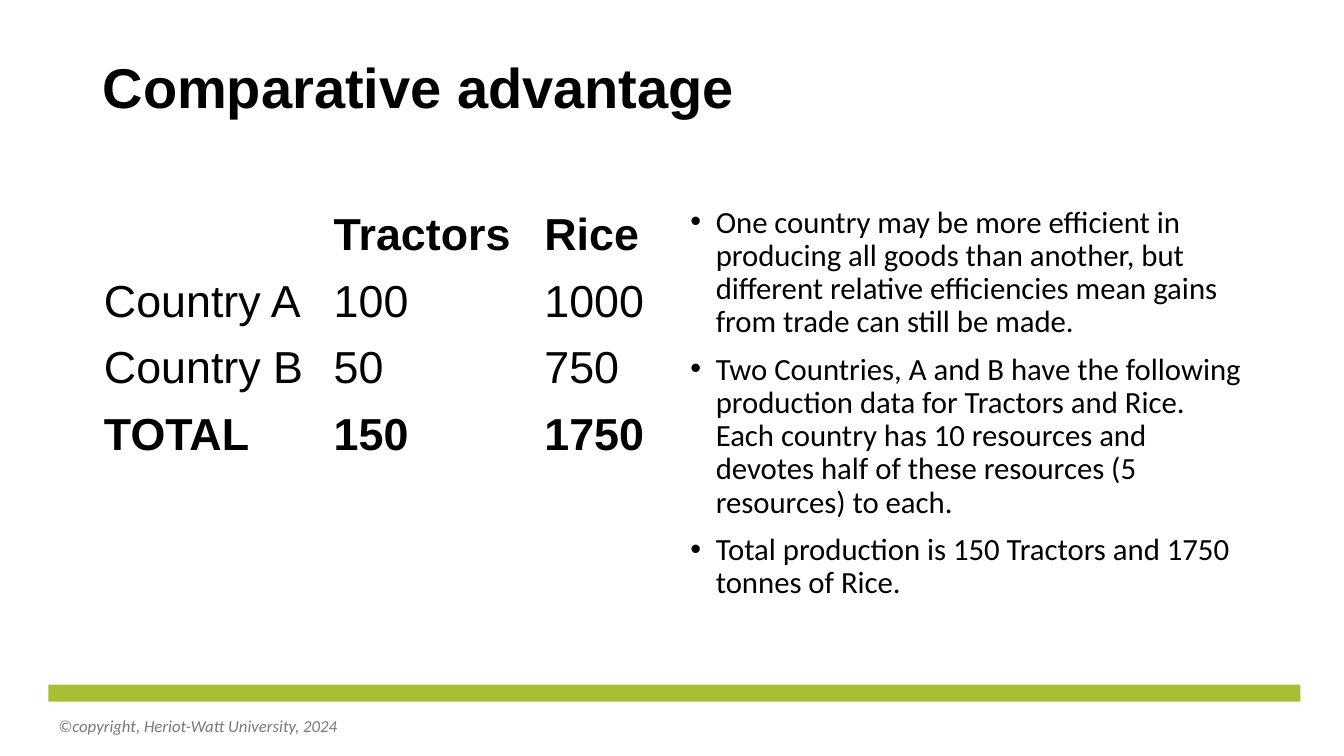
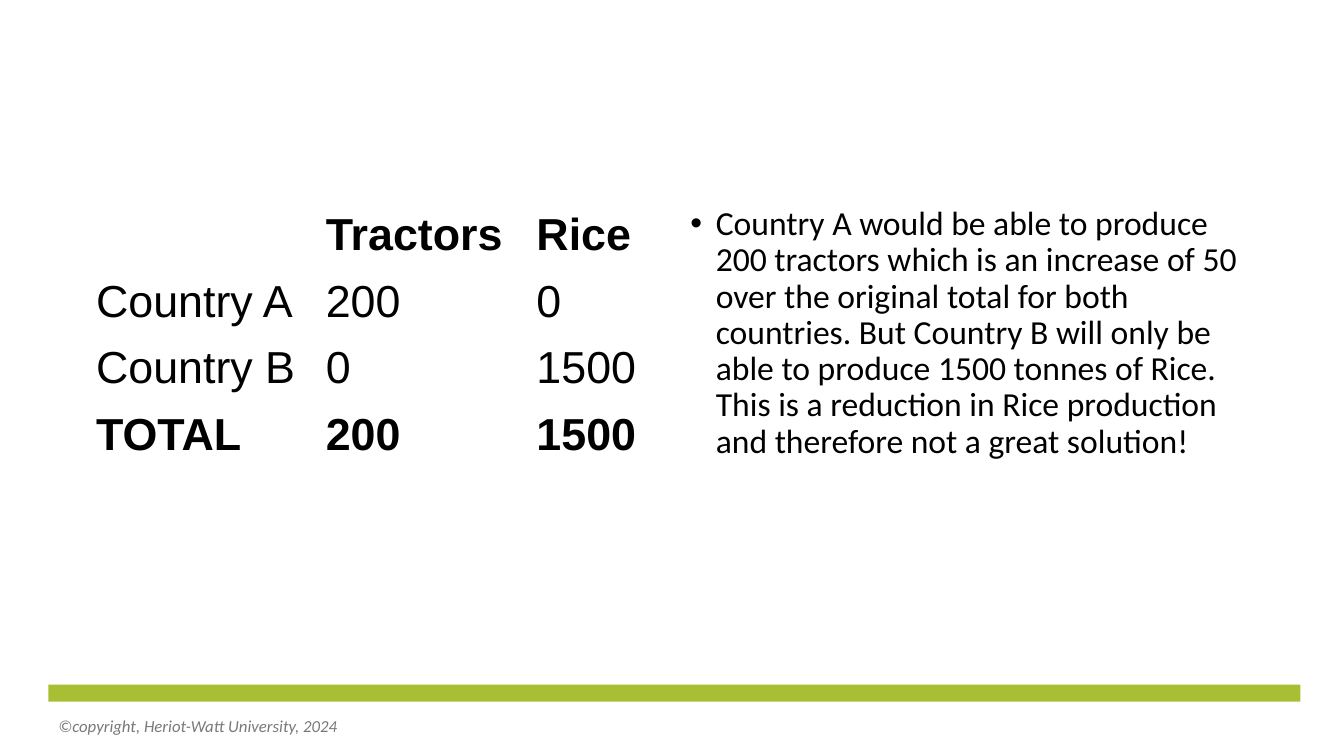
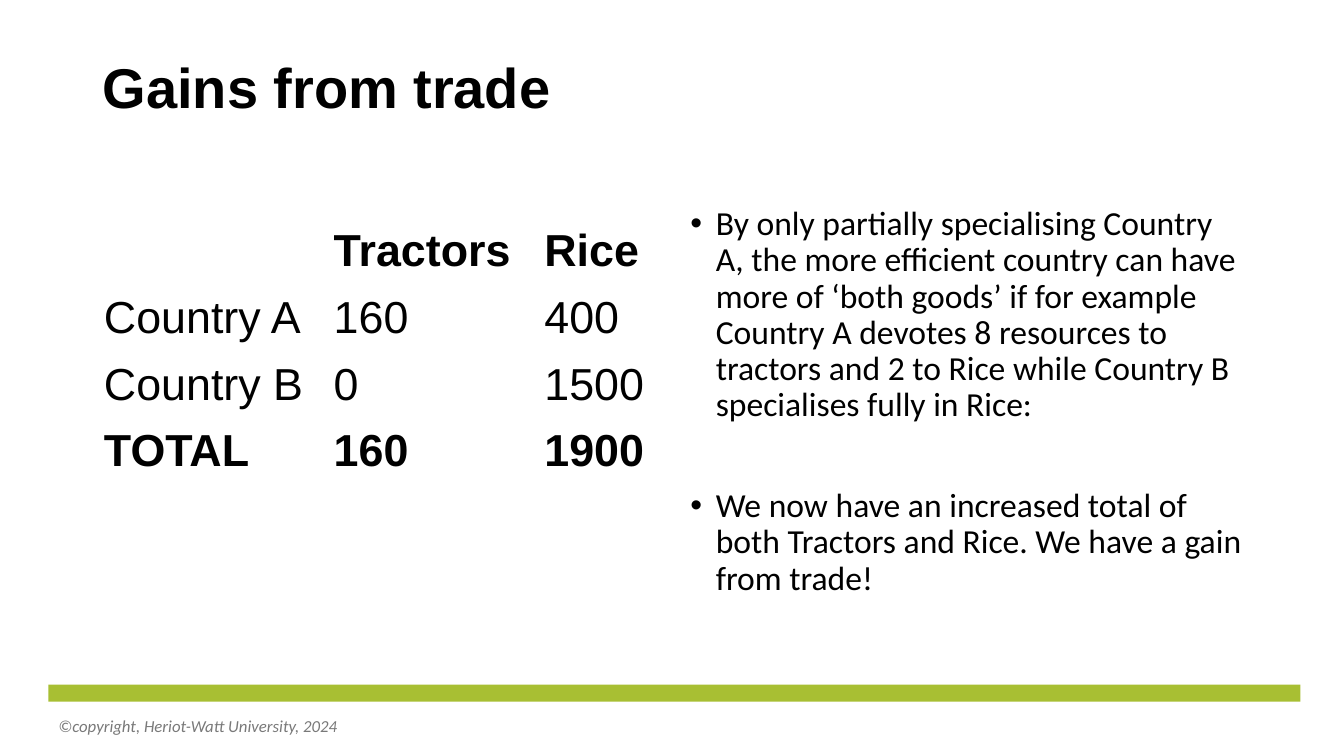
from lxml.etree import SubElement
from pptx import Presentation
from pptx.dml.color import RGBColor
from pptx.enum.shapes import MSO_SHAPE
from pptx.enum.text import MSO_ANCHOR
from pptx.oxml.ns import qn
from pptx.util import Cm, Pt

BLACK = RGBColor(0x00, 0x00, 0x00)
GREEN = RGBColor(0xA8, 0xBF, 0x33)
GREY = RGBColor(0x79, 0x79, 0x79)
HEADING_FONT = "Arial"
BODY_FONT = "Calibri"
FOOTER = "©copyright, Heriot-Watt University, 2024"

# Boxes: left, top, width, height
BAND_BOX = (Cm(1.22), Cm(17.25), Cm(31.55), Cm(0.43))
FOOTER_BOX = (Cm(1.22), Cm(17.78), Cm(11.43), Cm(1.02))
TITLE_BOX = (Cm(2.34), Cm(1.02), Cm(29.21), Cm(2.51))
BODY_BOX = (Cm(17.15), Cm(5.08), Cm(14.4), Cm(12.09))

COLUMN_WIDTHS = (Cm(5.79), Cm(5.31), Cm(3.3))
ROW_HEIGHT = Cm(1.68)
CELL_MARGIN = Cm(0.08)
BULLET_INDENT = Cm(0.64)


def format_runs(paragraph, font_name, size, color=BLACK, bold=False, italic=False):
    for run in paragraph.runs:
        font = run.font
        font.name, font.size = font_name, Pt(size)
        font.bold, font.italic = bold, italic
        font.color.rgb = color


def add_text_frame(slide, box, anchor=MSO_ANCHOR.TOP):
    text_frame = slide.shapes.add_textbox(*box).text_frame
    text_frame.word_wrap = True
    text_frame.vertical_anchor = anchor
    return text_frame


def add_footer(slide):
    # Green band
    band = slide.shapes.add_shape(MSO_SHAPE.RECTANGLE, *BAND_BOX)
    band.shadow.inherit = False
    band.fill.solid()
    band.fill.fore_color.rgb = GREEN
    band.line.fill.background()
    # Copyright line
    text_frame = add_text_frame(slide, FOOTER_BOX, MSO_ANCHOR.MIDDLE)
    text_frame.text = FOOTER
    format_runs(text_frame.paragraphs[0], BODY_FONT, 12, GREY, italic=True)


def add_title(slide, title):
    text_frame = add_text_frame(slide, TITLE_BOX, MSO_ANCHOR.MIDDLE)
    text_frame.text = title
    paragraph = text_frame.paragraphs[0]
    paragraph.line_spacing = 0.9
    format_runs(paragraph, HEADING_FONT, 40, bold=True)


def add_bullets(slide, box, bullets, size, gap):
    text_frame = add_text_frame(slide, box)
    text_frame.text = "\n".join(bullets)
    for index, paragraph in enumerate(text_frame.paragraphs):
        properties = paragraph._p.get_or_add_pPr()
        properties.set("marL", str(BULLET_INDENT))
        properties.set("indent", str(-BULLET_INDENT))
        SubElement(properties, qn("a:buFont")).set("typeface", "Arial")
        SubElement(properties, qn("a:buChar")).set("char", "•")
        paragraph.line_spacing = 0.9
        paragraph.space_before = Pt(gap if index else 0)
        format_runs(paragraph, BODY_FONT, size)


def add_output_table(slide, left, top, rows):
    table = slide.shapes.add_table(
        len(rows), len(COLUMN_WIDTHS), left, top,
        sum(COLUMN_WIDTHS), ROW_HEIGHT * len(rows)).table
    table.first_row = table.horz_banding = False
    for column, width in zip(table.columns, COLUMN_WIDTHS):
        column.width = width
    for row_index, values in enumerate(rows):
        table.rows[row_index].height = ROW_HEIGHT
        is_bold = row_index in (0, len(rows) - 1)
        for column_index, value in enumerate(values):
            cell = table.cell(row_index, column_index)
            cell.fill.background()
            cell.margin_left = cell.margin_right = CELL_MARGIN
            cell.margin_top = cell.margin_bottom = CELL_MARGIN
            cell.vertical_anchor = MSO_ANCHOR.MIDDLE
            cell.text_frame.text = value
            format_runs(cell.text_frame.paragraphs[0], HEADING_FONT, 32, bold=is_bold)


def add_trade_slide(presentation, country_a, country_b, total, bullets, title=None,
                    table_left=Cm(2.54), table_top=Cm(5.08), size=24, gap=10):
    slide = presentation.slides.add_slide(presentation.slide_layouts[6])
    add_footer(slide)
    if title:
        add_title(slide, title)
    add_bullets(slide, BODY_BOX, bullets, size, gap)
    add_output_table(slide, table_left, table_top, [
        ("", "Tractors", "Rice"),
        ("Country A", *country_a),
        ("Country B", *country_b),
        ("TOTAL", *total),
    ])


def main():
    presentation = Presentation()
    presentation.slide_width, presentation.slide_height = Cm(33.87), Cm(19.05)

    # Output before specialisation
    add_trade_slide(
        presentation, ("100", "1000"), ("50", "750"), ("150", "1750"),
        ["One country may be more efficient in producing all goods than another, "
         "but different relative efficiencies mean gains from trade can still be made.",
         "Two Countries, A and B have the following production data for Tractors and Rice. "
         "Each country has 10 resources and devotes half of these resources "
         "(5 resources) to each.",
         "Total production is 150 Tractors and 1750 tonnes of Rice."],
        title="Comparative advantage", size=22)

    # Full specialisation
    add_trade_slide(
        presentation, ("200", "0"), ("0", "1500"), ("200", "1500"),
        ["Country A would be able to produce 200 tractors which is an increase of 50 "
         "over the original total for both countries. But Country B will only be able "
         "to produce 1500 tonnes of Rice. This is a reduction in Rice production "
         "and therefore not a great solution!"],
        table_left=Cm(2.34))

    # Partial specialisation
    add_trade_slide(
        presentation, ("160", "400"), ("0", "1500"), ("160", "1900"),
        ["By only partially specialising Country A, the more efficient country can have "
         "more of ‘both goods’ if for example Country A devotes 8 resources to tractors "
         "and 2 to Rice while Country B specialises fully in Rice:",
         "We now have an increased total of both Tractors and Rice. "
         "We have a gain from trade!"],
        title="Gains from trade", table_top=Cm(5.49), gap=46)

    presentation.save("out.pptx")


if __name__ == "__main__":
    main()
